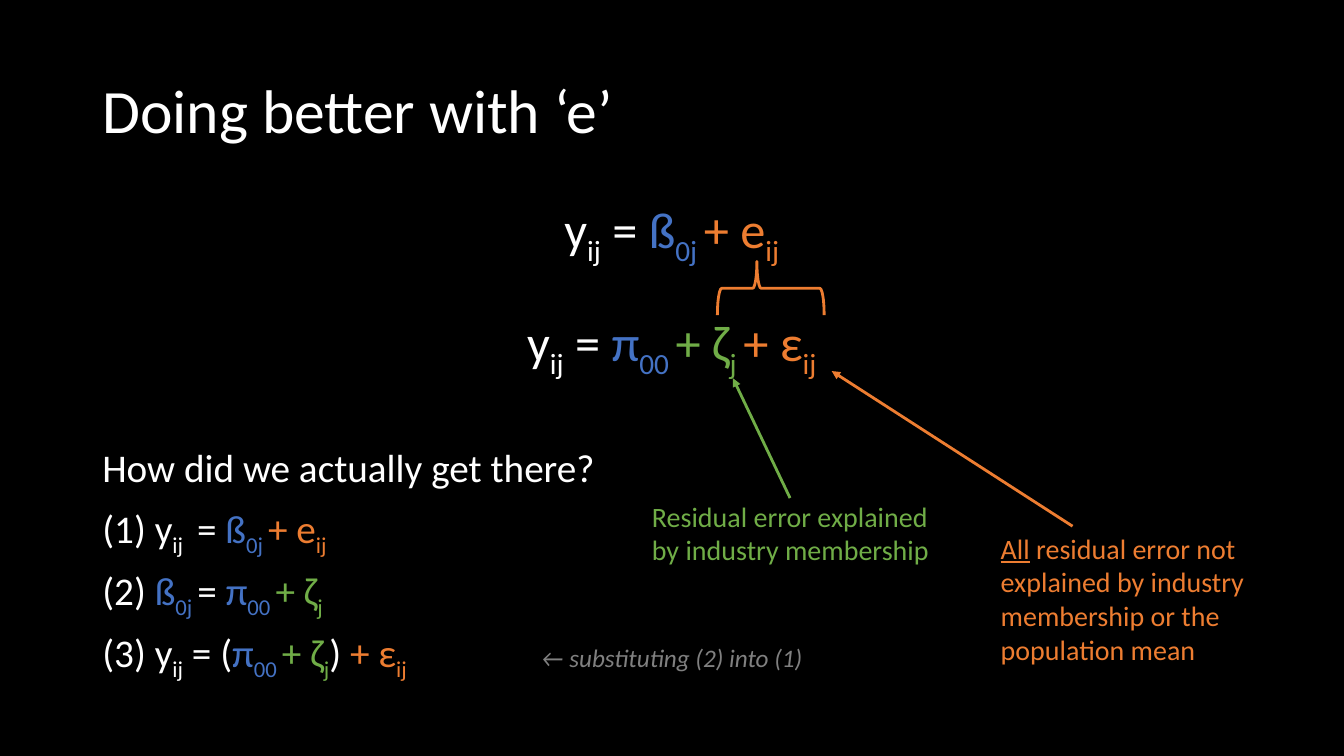
from lxml import etree
from pptx import Presentation
from pptx.dml.color import RGBColor
from pptx.enum import shapes, text
from pptx.oxml.ns import qn
from pptx.util import Cm, Pt

COLORS = {"black": "000000", "white": "FFFFFF", "blue": "4472C4",
          "orange": "ED7D31", "green": "70AD47", "grey": "808080"}
FONT = "Calibri"

# Each run is (text, colour, style); style is "", "sub", "underline" or "note".
Y = [("y", "white", ""), ("ij", "white", "sub")]
BETA = [("ß", "blue", ""), ("0j ", "blue", "sub")]
PI = [("π", "blue", ""), ("00 ", "blue", "sub")]
ZETA = [("+ ζ", "green", ""), ("j", "green", "sub")]
E = [("+ e", "orange", ""), ("ij", "orange", "sub")]
EPSILON = [("+ ε", "orange", ""), ("ij", "orange", "sub")]
EQUALS = [(" = ", "white", "")]
SUB_SPACE = [(" ", "white", "sub")]


def white(words):
    return [(words, "white", "")]


TITLE = white("Doing better with ‘e’")
TITLE_BOX = (2.33, 1.01, 29.21, 3.68)
STEPS = [
    white("How did we actually get there?"),
    white("(1) ") + Y + SUB_SPACE + EQUALS + BETA + E,
    white("(2) ") + BETA + white("= ") + PI + ZETA,
    white("(3) ") + Y + white(" = (") + PI + ZETA + white(") ") + EPSILON
    + [("\t", "white", ""), ("← substituting (2) into (1)", "grey", "note")],
]
STEPS_BOX = (2.33, 11.18, 29.21, 6)
NOTE_TAB = 11.05

# (box, paragraphs, paragraph format, size)
CENTRED = {"alignment": text.PP_ALIGN.CENTER}
STEP_FORMAT = {"line_spacing": 0.9, "space_before": Pt(10)}
TEXTS = [
    ((10.06, 4.88, 13.74, 1.8), [Y + EQUALS + BETA + E], CENTRED, 36),
    ((10.06, 7.72, 13.74, 1.8),
     [Y + EQUALS + PI + ZETA + SUB_SPACE + EPSILON], CENTRED, 36),
    (STEPS_BOX, STEPS, STEP_FORMAT, 28),
    ((24.97, 13.26, 7.57, 3.68),
     [[("All", "orange", "underline"),
       (" residual error not explained by industry membership"
        " or the population mean", "orange", "")]], {}, 20),
    ((16.18, 12.45, 7.57, 1.96),
     [[("Residual error explained by industry membership", "green", "")]], {}, 20),
]
BRACE_BOX = (18.75, 5.92, 1.35, 2.69)
ARROWS = [((27.03, 13.26), (20.96, 9.35), "orange"),
          ((19.91, 12.55), (18.47, 9.53), "green")]
STYLES = {"": {}, "sub": {}, "underline": {"underline": True},
          "note": {"italic": True, "size": Pt(18)}}


def rgb(name):
    return RGBColor.from_string(COLORS[name])


def apply(target, values):
    for name, value in values.items():
        setattr(target, name, value)


def fill_paragraph(p, runs, form, size):
    apply(p, form)
    for words, color, style in runs:
        r = p.add_run()
        r.text = words
        apply(r.font, {"name": FONT, "size": Pt(size), **STYLES[style]})
        r.font.color.rgb = rgb(color)
        if style == "sub":
            r._r.get_or_add_rPr().set("baseline", "-25000")
        if words == "\t":
            tabs = etree.SubElement(p._p.get_or_add_pPr(), qn("a:tabLst"))
            etree.SubElement(tabs, qn("a:tab"), pos=str(Cm(NOTE_TAB)), algn="l")


def add_text(slide, box, paragraphs, form, size):
    tf = slide.shapes.add_textbox(*map(Cm, box)).text_frame
    tf.word_wrap = True
    for i, runs in enumerate(paragraphs):
        p = tf.add_paragraph() if i else tf.paragraphs[0]
        fill_paragraph(p, runs, form, size)


def set_line(sp, color):
    sp.line.color.rgb = rgb(color)
    sp.line.width = Pt(2)


def add_arrow(slide, start, end, color):
    line = slide.shapes.add_connector(
        shapes.MSO_CONNECTOR.STRAIGHT, *map(Cm, start + end))
    set_line(line, color)
    etree.SubElement(line.line._get_or_add_ln(), qn("a:tailEnd"), type="triangle")
    etree.SubElement(line._element.spPr, qn("a:effectLst"))


def main():
    prs = Presentation()
    prs.slide_width, prs.slide_height = Cm(33.87), Cm(19.05)
    slide = prs.slides.add_slide(prs.slide_layouts[5])
    slide.background.fill.solid()
    slide.background.fill.fore_color.rgb = rgb("black")

    title = slide.shapes.title
    apply(title, dict(zip(("left", "top", "width", "height"), map(Cm, TITLE_BOX))))
    apply(title.text_frame, {"vertical_anchor": text.MSO_ANCHOR.MIDDLE,
                             "word_wrap": True,
                             "auto_size": text.MSO_AUTO_SIZE.NONE})
    fill_paragraph(title.text_frame.paragraphs[0], TITLE,
                   {"alignment": text.PP_ALIGN.LEFT, "line_spacing": 0.9}, 44)

    for item in TEXTS:
        add_text(slide, *item)

    brace = slide.shapes.add_shape(shapes.MSO_SHAPE.RIGHT_BRACE, *map(Cm, BRACE_BOX))
    brace.rotation = 270
    brace.adjustments[0], brace.adjustments[1] = 0.08, 0.37
    brace.shadow.inherit = False
    brace.fill.background()
    set_line(brace, "orange")

    for arrow in ARROWS:
        add_arrow(slide, *arrow)
    prs.save("out.pptx")


if __name__ == "__main__":
    main()
